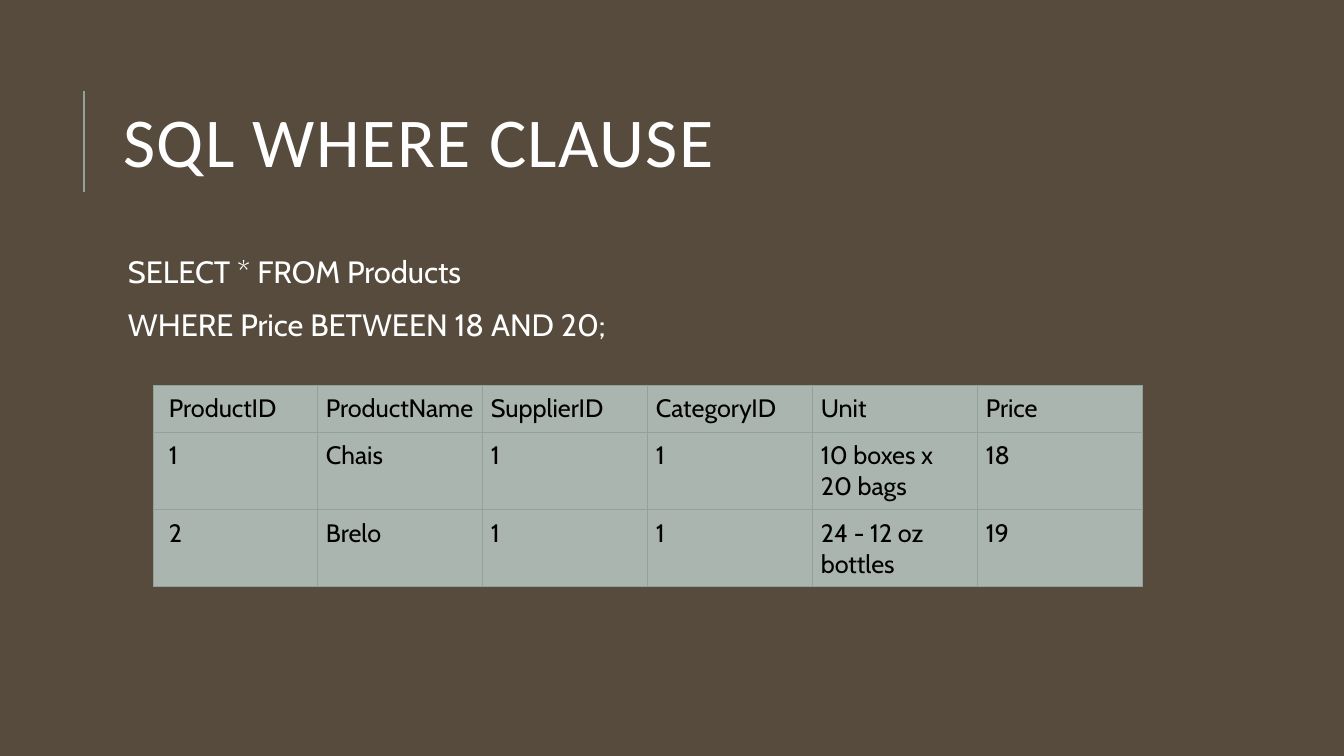
from dataclasses import dataclass
from lxml.etree import SubElement
from pptx import Presentation
from pptx.dml.color import RGBColor
from pptx.enum.shapes import MSO_CONNECTOR
from pptx.enum.text import MSO_ANCHOR, MSO_AUTO_SIZE, PP_ALIGN
from pptx.oxml import parse_xml
from pptx.oxml.ns import nsdecls, qn
from pptx.util import Pt

SCALE = 914400 / 100.8


@dataclass(frozen=True)
class Theme:
    back: str = "564B3C"
    rule: str = "93A299"
    cell: str = "ABB5AF"
    light: str = "FFFFFF"
    dark: str = "000000"
    head: str = "Calibri"
    body: str = "Cabin"
    big: int = 50
    mid: int = 22
    small: int = 18


LOOK = Theme()

QUERY = ["SELECT * FROM Products", "WHERE Price BETWEEN 18 AND 20;"]
ROWS = [
    ["ProductID", "ProductName", "SupplierID", "CategoryID", "Unit", "Price"],
    ["1", "Chais", "1", "1", "10 boxes x 20 bags", "18"],
    ["2", "Brelo", "1", "1", "24 - 12 oz bottles", "19"],
]
HEIGHTS = [47, 78, 77]


def px(size):
    return round(size * SCALE)


def tint(code):
    return RGBColor.from_string(code)


def add_run(para, text, size, face, color):
    run = para.add_run()
    run.text = text
    run.font.size = Pt(size)
    run.font.name = face
    run.font.color.rgb = tint(color)
    return run


def add_title(slide, text, left, top, width, height):
    title = slide.shapes.title
    title.left, title.top = px(left), px(top)
    title.width, title.height = px(width), px(height)
    frame = title.text_frame
    frame.auto_size = MSO_AUTO_SIZE.NONE
    frame.vertical_anchor = MSO_ANCHOR.MIDDLE
    para = frame.paragraphs[0]
    para.alignment = PP_ALIGN.LEFT
    para.line_spacing = 0.8
    run = add_run(para, text, LOOK.big, LOOK.head, LOOK.light)
    run.font._element.set("spc", "100")


def add_rule(slide, left, top, end):
    line = slide.shapes.add_connector(
        MSO_CONNECTOR.STRAIGHT, px(left), px(end), px(left), px(top))
    line.line.color.rgb = tint(LOOK.rule)
    line.line.width = Pt(1.5)
    SubElement(line._element.spPr, qn("a:effectLst"))


def add_query(slide, lines, left, top, width, height):
    box = slide.shapes.add_textbox(px(left), px(top), px(width), px(height))
    frame = box.text_frame
    frame.word_wrap = True
    frame.margin_left = px(15)
    frame.margin_top = frame.margin_right = frame.margin_bottom = px(5)
    for num, text in enumerate(lines):
        para = frame.add_paragraph() if num else frame.paragraphs[0]
        para.line_spacing = 0.9
        para.space_before, para.space_after = Pt(12), Pt(2)
        add_run(para, text, LOOK.mid, LOOK.body, LOOK.light)


def add_edges(cell):
    props = cell._tc.get_or_add_tcPr()
    for spot, side in enumerate("LRTB"):
        props.insert(spot, parse_xml(
            f'<a:ln{side} {nsdecls("a")} w="{Pt(0.75)}"><a:solidFill>'
            f'<a:srgbClr val="{LOOK.rule}"/></a:solidFill></a:ln{side}>'))


def fill_cell(cell, text, inset):
    cell.fill.solid()
    cell.fill.fore_color.rgb = tint(LOOK.cell)
    cell.margin_left = px(inset)
    cell.margin_top = cell.margin_right = cell.margin_bottom = px(8)
    para = cell.text_frame.paragraphs[0]
    add_run(para, text, LOOK.small, LOOK.body, LOOK.dark)
    add_edges(cell)


def add_grid(slide, rows, left, top, col):
    wide = len(rows[0])
    table = slide.shapes.add_table(
        len(rows), wide, px(left), px(top),
        px(col * wide), px(sum(HEIGHTS))).table
    table.first_row = table.horz_banding = False
    for part in table.columns:
        part.width = px(col)
    for r, (row, high) in enumerate(zip(rows, HEIGHTS)):
        table.rows[r].height = px(high)
        for c, text in enumerate(row):
            fill_cell(table.cell(r, c), text, 8 if c else 16)


def main():
    deck = Presentation()
    deck.slide_width, deck.slide_height = px(1344), px(756)
    slide = deck.slides.add_slide(deck.slide_layouts[5])
    slide.background.fill.solid()
    slide.background.fill.fore_color.rgb = tint(LOOK.back)
    add_rule(slide, 84, 91, 192)
    add_title(slide, "SQL WHERE CLAUSE", 113, 65, 1072, 165)
    add_query(slide, QUERY, 113, 252, 1072, 444)
    add_grid(slide, ROWS, 153, 385, 165)
    deck.save("out.pptx")


if __name__ == "__main__":
    main()
